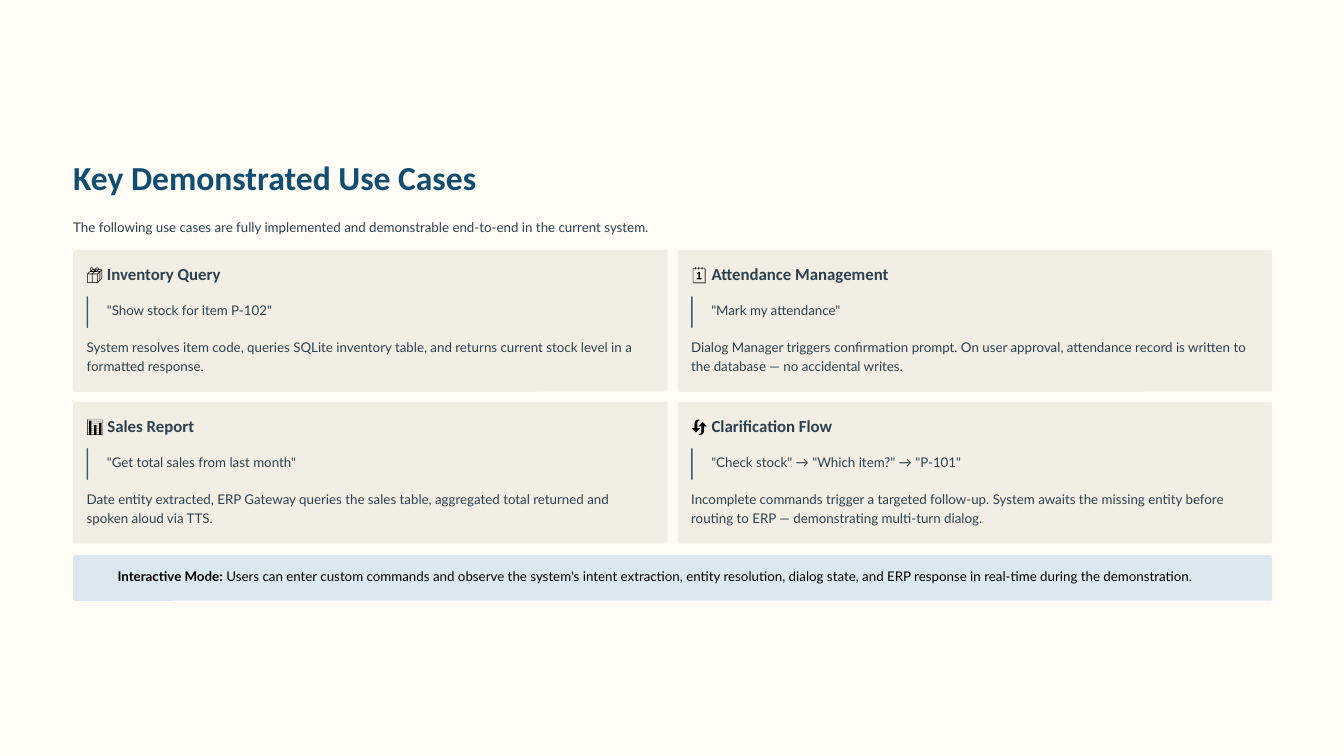
"""Build the key use cases slide: a two-by-two grid of cards above a note banner."""
import dataclasses

import pptx
import pptx.dml.color
import pptx.enum.shapes
import pptx.enum.text
import pptx.util

Inches = pptx.util.Inches
Pt = pptx.util.Pt


@dataclasses.dataclass(frozen=True)
class Theme:
    """Colours, fonts and type sizes."""
    background: str = "FFFCF5"
    title: str = "124E73"
    ink: str = "2B4150"
    black: str = "000000"
    card: str = "F3EEE3"
    accent: str = "325F7B"
    banner: str = "DBE8F0"
    heading_font: str = "Calibri"
    body_font: str = "Lato"
    title_size: float = 36
    heading_size: float = 18
    body_size: float = 14.3
    radius: float = 0.03


def rgb(value):
    """Return a colour from its hex value."""
    return pptx.dml.color.RGBColor.from_string(value)


def add_run(p, text, *, font, size, color, bold=False):
    """Add formatted text to a paragraph."""
    r = p.add_run()
    r.text = text
    r.font.name = font
    r.font.size = Pt(size)
    r.font.bold = bold
    r.font.color.rgb = rgb(color)


class SlideBuilder:
    """Hold the theme and the current slide, and draw each kind of element."""

    def __init__(self, slide, theme):
        """Set the slide background."""
        self.slide = slide
        self.theme = theme
        slide.background.fill.solid()
        slide.background.fill.fore_color.rgb = rgb(theme.background)

    def panel(self, x, y, w, h, color):
        """Draw a filled rectangle with slightly rounded corners."""
        sp = self.slide.shapes.add_shape(
            pptx.enum.shapes.MSO_SHAPE.ROUNDED_RECTANGLE,
            Inches(x), Inches(y), Inches(w), Inches(h))
        sp.adjustments[0] = min(0.5, self.theme.radius / min(w, h))
        sp.fill.solid()
        sp.fill.fore_color.rgb = rgb(color)
        sp.line.fill.background()
        sp.shadow.inherit = False

    def paragraph(self, x, y, w, h, spacing):
        """Add a text box without margins and return its paragraph."""
        sp = self.slide.shapes.add_textbox(Inches(x), Inches(y), Inches(w), Inches(h))
        tf = sp.text_frame
        tf.word_wrap = True
        tf.auto_size = pptx.enum.text.MSO_AUTO_SIZE.SHAPE_TO_FIT_TEXT
        tf.margin_left = tf.margin_top = tf.margin_right = tf.margin_bottom = 0
        p = tf.paragraphs[0]
        p.line_spacing = Pt(spacing)
        return p

    def title(self, x, y, w, text):
        """Write the slide title."""
        t = self.theme
        p = self.paragraph(x, y, w, 0.65, 45)
        add_run(p, text, font=t.heading_font, size=t.title_size, color=t.title, bold=True)

    def heading(self, x, y, w, icon, text):
        """Write a card heading after its icon."""
        t = self.theme
        p = self.paragraph(x, y, w, 0.33, 22.5)
        add_run(p, icon, font=t.heading_font, size=t.heading_size, color=t.black)
        add_run(p, f" {text}", font=t.heading_font, size=t.heading_size, color=t.ink, bold=True)

    def body(self, x, y, w, text, h=0.33):
        """Write body text."""
        t = self.theme
        p = self.paragraph(x, y, w, h, 20)
        add_run(p, text, font=t.body_font, size=t.body_size, color=t.ink)

    def card(self, x, y, w, h, icon, name, quote, detail):
        """Draw a use case card with a heading, a quoted command and a detail."""
        inner_x, inner_w = x + 0.2, w - 0.41
        self.panel(x, y, w, h, self.theme.card)
        self.heading(inner_x, y + 0.19, inner_w, icon, name)
        self.body(inner_x + 0.3, y + 0.74, inner_w - 0.31, quote)
        self.panel(inner_x, y + 0.69, 0.02, 0.47, self.theme.accent)
        self.body(inner_x, y + 1.29, inner_w, detail, h=0.61)

    def banner(self, x, y, w, h, label, text):
        """Draw a banner with a bold label and a note."""
        t = self.theme
        self.panel(x, y, w, h, t.banner)
        p = self.paragraph(x + 0.66, y + 0.16, w - 0.7, 0.33, 20)
        add_run(p, label, font=t.body_font, size=t.body_size, color=t.black, bold=True)
        add_run(p, f" {text}", font=t.body_font, size=t.body_size, color=t.black)


USE_CASES = [
    ("📦", "Inventory Query", '"Show stock for item P-102"',
     "System resolves item code, queries SQLite inventory table, and returns current "
     "stock level in a formatted response."),
    ("🗓", "Attendance Management", '"Mark my attendance"',
     "Dialog Manager triggers confirmation prompt. On user approval, attendance record "
     "is written to the database — no accidental writes."),
    ("📊", "Sales Report", '"Get total sales from last month"',
     "Date entity extracted, ERP Gateway queries the sales table, aggregated total "
     "returned and spoken aloud via TTS."),
    ("🔄", "Clarification Flow", '"Check stock" → "Which item?" → "P-101"',
     "Incomplete commands trigger a targeted follow-up. System awaits the missing entity "
     "before routing to ERP — demonstrating multi-turn dialog."),
]


def main():
    """Build and save the slide."""
    prs = pptx.Presentation()
    prs.slide_width, prs.slide_height = Inches(20), Inches(11.25)
    s = SlideBuilder(prs.slides.add_slide(prs.slide_layouts[6]), Theme())

    left, width, top, gap = 1.09, 17.84, 3.72, 0.15
    card_w, card_h = (width - gap) / 2, 2.11
    s.title(left, 2.31, width, "Key Demonstrated Use Cases")
    s.body(left, 3.22, width,
           "The following use cases are fully implemented and demonstrable end-to-end "
           "in the current system.")
    for i, use_case in enumerate(USE_CASES):
        row, col = divmod(i, 2)
        s.card(left + col * (card_w + gap), top + row * (card_h + gap),
               card_w, card_h, *use_case)
    s.banner(left, 8.26, width, 0.68, "Interactive Mode:",
             "Users can enter custom commands and observe the system's intent extraction, "
             "entity resolution, dialog state, and ERP response in real-time during the "
             "demonstration.")
    prs.save("out.pptx")


if __name__ == "__main__":
    main()
